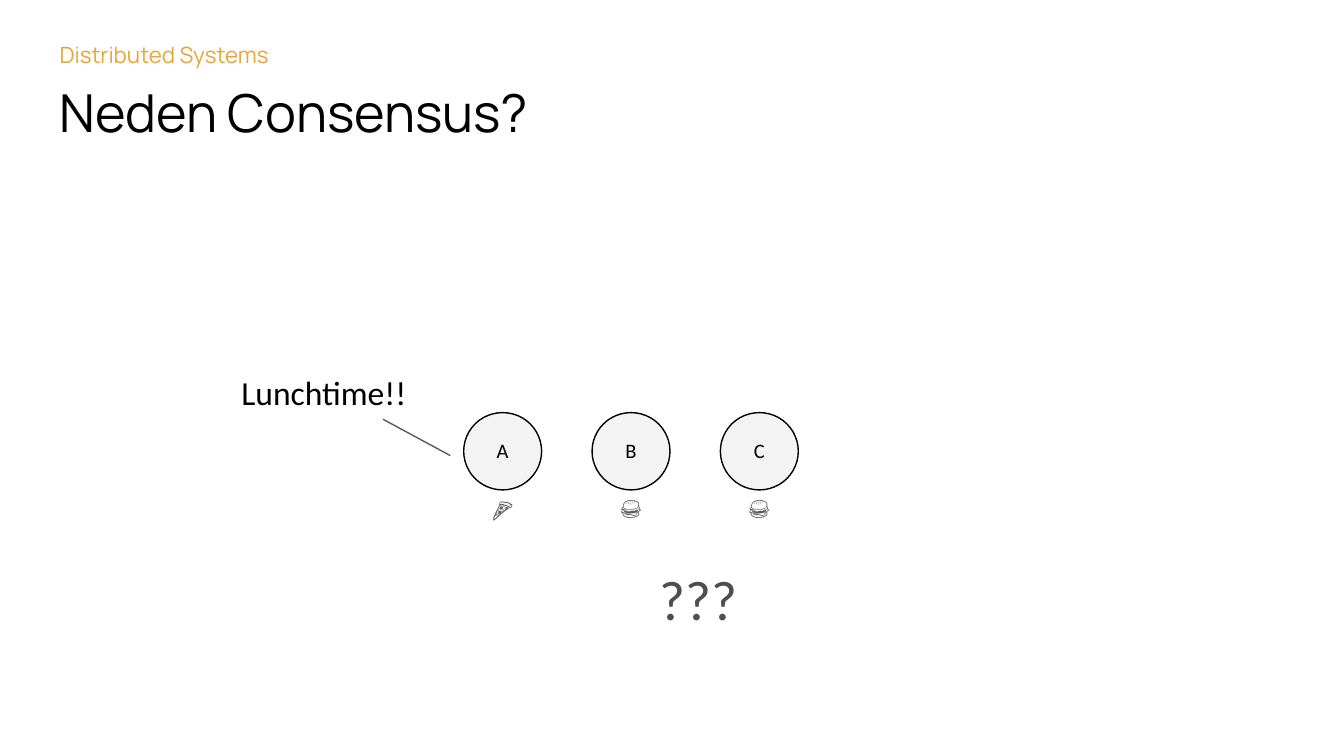
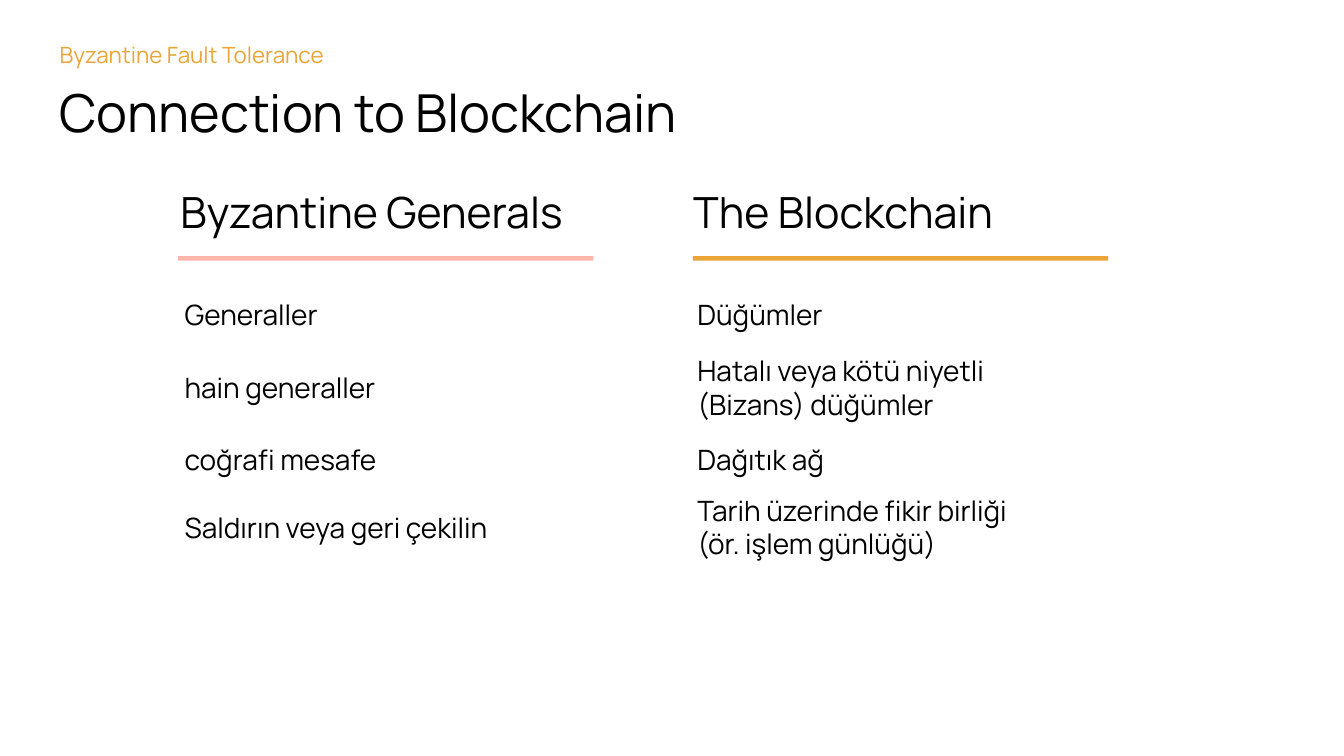
"""Builds two slides on consensus and Byzantine fault tolerance."""
from lxml import etree
from pptx import Presentation
from pptx.dml.color import RGBColor
from pptx.enum.shapes import MSO_CONNECTOR, MSO_SHAPE
from pptx.enum.text import MSO_ANCHOR, PP_ALIGN
from pptx.oxml.ns import qn
from pptx.util import Emu, Pt

BLACK = RGBColor(0x00, 0x00, 0x00)
ORANGE = RGBColor(0xEA, 0xA5, 0x36)
PINK = RGBColor(0xFF, 0xB5, 0xAA)
PALE = RGBColor(0xF3, 0xF3, 0xF3)
GREY = RGBColor(0x59, 0x59, 0x59)
DARK = RGBColor(0x4E, 0x4E, 0x4E)

TOP, MIDDLE = MSO_ANCHOR.TOP, MSO_ANCHOR.MIDDLE
LEFT, CENTER = PP_ALIGN.LEFT, PP_ALIGN.CENTER
OVAL, RECT = MSO_SHAPE.OVAL, MSO_SHAPE.RECTANGLE
STRAIGHT = MSO_CONNECTOR.STRAIGHT

HEAD_FONT, NODE_FONT = "Manrope", "Calibri"
EMU_PER_PX = 4572
SLIDE_W, SLIDE_H = 2000, 1125

CONSENSUS = ("Distributed Systems", "Neden Consensus?")
NODES = [("A", "🍕", 731), ("B", "🍔", 729), ("C", "🍔", 729)]
NODE_LEFT, NODE_TOP, NODE_PITCH = 690, 614, 191
NODE_W, NODE_H = 116, 115

BLOCKCHAIN = ("Byzantine Fault Tolerance", "Connection to Blockchain")
COLUMNS = [
    ("Byzantine Generals", 255, 666, 265, PINK,
     ["Generaller", "hain generaller", "coğrafi mesafe",
      "Saldırın veya geri çekilin"]),
    ("The Blockchain", 1018, 634, 1031, ORANGE,
     ["Düğümler", "Hatalı veya kötü niyetli (Bizans) düğümler", "Dağıtık ağ",
      "Tarih üzerinde fikir birliği\n(ör. işlem günlüğü)"]),
]
ROW_TOPS = [398, 506, 614, 714]
COLUMN_W, ROW_H = 618, 140


def px(*values):
    return [Emu(v * EMU_PER_PX) for v in values]


def add_text(slide, text, box, size, color=BLACK, font=HEAD_FONT, inset=20,
             align=LEFT, anchor=TOP, spacing=None):
    tf = slide.shapes.add_textbox(*px(*box)).text_frame
    tf.word_wrap = True
    tf.vertical_anchor = anchor
    tf.margin_left, tf.margin_top, tf.margin_right, tf.margin_bottom = px(*[inset] * 4)
    tf.text = text
    for p in tf.paragraphs:
        p.alignment = align
        if spacing:
            p.line_spacing = spacing
        for r in p.runs:
            r.font.name = font
            r.font.size = Pt(size)
            r.font.color.rgb = color


def add_shape(slide, kind, box, fill, line=None):
    sp = slide.shapes.add_shape(kind, *px(*box))
    sp.shadow.inherit = False
    sp.fill.solid()
    sp.fill.fore_color.rgb = fill
    if line is None:
        sp.line.fill.background()
    else:
        sp.line.color.rgb = line
        sp.line.width = Pt(0.75)


def add_line(slide, start, end, color):
    line = slide.shapes.add_connector(STRAIGHT, *px(*start, *end))
    line.line.color.rgb = color
    line.line.width = Pt(0.75)
    etree.SubElement(line._element.spPr, qn("a:effectLst"))


def add_slide(prs, heading):
    topic, title = heading
    slide = prs.slides.add_slide(prs.slide_layouts[6])
    add_text(slide, topic, (69, 42, 1858, 86), 12, ORANGE)
    add_text(slide, title, (69, 100, 1858, 126), 28)
    return slide


def build_consensus(prs):
    slide = add_slide(prs, CONSENSUS)
    for i, (name, food, food_top) in enumerate(NODES):
        left = NODE_LEFT + i * NODE_PITCH
        add_shape(slide, OVAL, (left, NODE_TOP, NODE_W, NODE_H), PALE, BLACK)
        add_text(slide, name, (left + 32, NODE_TOP + 30, 52, 54), 11,
                 font=NODE_FONT, inset=8, align=CENTER)
        add_text(slide, food, (left + 20, food_top, 76, 60), 11, GREY,
                 NODE_FONT, 8, CENTER)
    add_text(slide, "???", (942, 821, 194, 114), 30, DARK, NODE_FONT, 0,
             CENTER, MIDDLE, 1.25)
    add_text(slide, "Lunchtime!!", (351, 545, 322, 116), 18,
             font=NODE_FONT, inset=8)
    add_line(slide, (570, 624), (670, 678), GREY)


def build_blockchain(prs):
    slide = add_slide(prs, BLOCKCHAIN)
    for name, left, name_w, bar_left, color, rows in COLUMNS:
        add_text(slide, name, (left - 6, 256, name_w, ROW_H), 23)
        add_shape(slide, RECT, (bar_left, 381, COLUMN_W, 7), color)
        for text, top in zip(rows, ROW_TOPS):
            add_text(slide, text, (left, top, COLUMN_W, ROW_H), 15,
                     anchor=MIDDLE)


def main():
    prs = Presentation()
    prs.slide_width, prs.slide_height = px(SLIDE_W, SLIDE_H)
    build_consensus(prs)
    build_blockchain(prs)
    prs.save("out.pptx")


if __name__ == "__main__":
    main()
